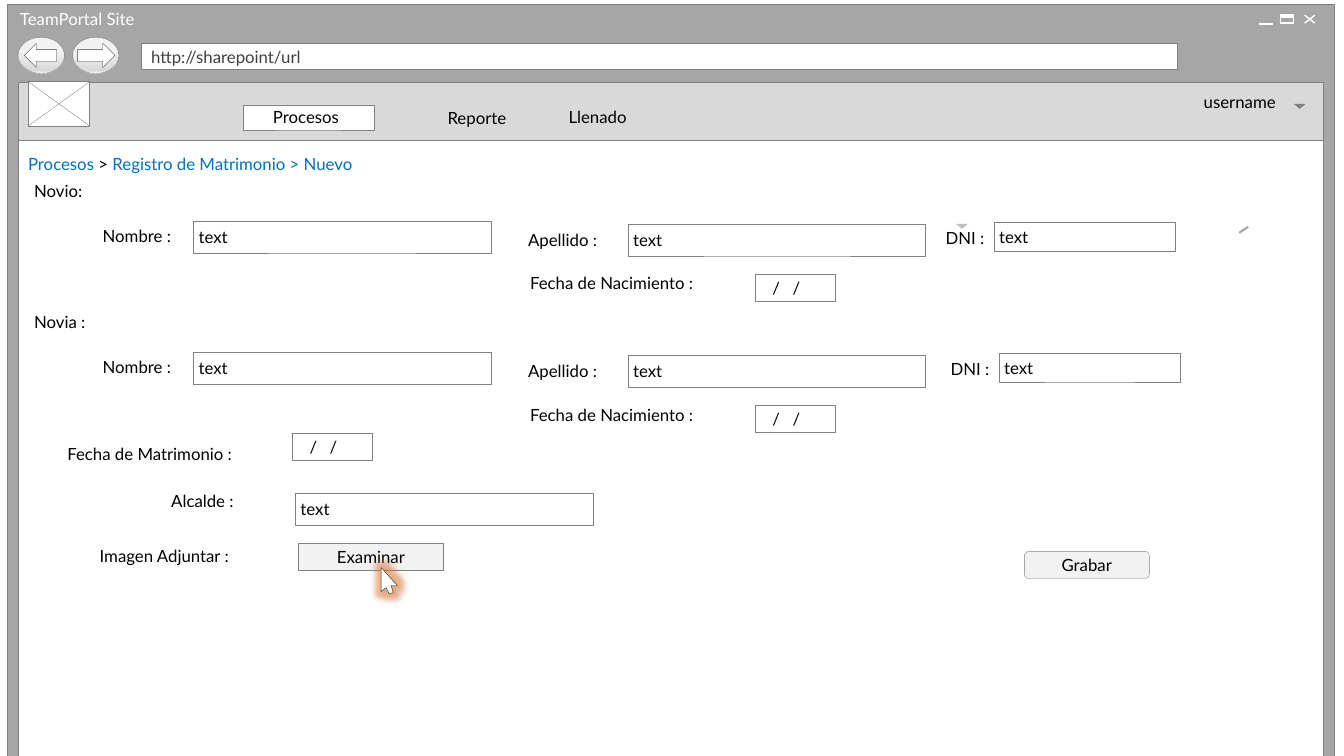
from lxml import etree
from pptx import Presentation
from pptx.dml.color import RGBColor
from pptx.enum.shapes import MSO_CONNECTOR, MSO_SHAPE as SHAPE
from pptx.enum.text import MSO_ANCHOR as ANCHOR, PP_ALIGN as ALIGN
from pptx.oxml import parse_xml
from pptx.oxml.ns import nsdecls, qn
from pptx.util import Inches, Pt

WHITE = RGBColor(0xFF, 0xFF, 0xFF)
BLACK = RGBColor(0, 0, 0)
FRAME = RGBColor(0xA6, 0xA6, 0xA6)
BORDER = RGBColor(0x80, 0x80, 0x80)
HEADER = RGBColor(0xD9, 0xD9, 0xD9)
BUTTON = RGBColor(0xF2, 0xF2, 0xF2)
PALE = RGBColor(0xBF, 0xBF, 0xBF)
DARK = RGBColor(0x40, 0x40, 0x40)
INK = RGBColor(0x26, 0x26, 0x26)
LINK = RGBColor(0x00, 0x70, 0xC0)

LABEL_INSET = (0.1, 0.02, 0.1, 0.03)
FIELD_INSET = (0.05, 0.02, 0.05, 0.02)
BUTTON_INSET = (0.1, 0, 0.1, 0.01)
DATE_INSET = (0.17, 0, 0, 0)


class Mockup:
    font, size, hairline = "Lato", 12, 0.25

    def __init__(self, slide):
        self.slide = slide

    def add_text(self, sp, runs, inset, align=ALIGN.LEFT, anchor=ANCHOR.MIDDLE):
        tf = sp.text_frame
        tf.word_wrap = True
        tf.vertical_anchor = anchor
        (tf.margin_left, tf.margin_top,
         tf.margin_right, tf.margin_bottom) = map(Inches, inset)
        p = tf.paragraphs[0]
        p.alignment = align
        for text, color in runs:
            r = p.add_run()
            r.text = text
            r.font.name, r.font.size = self.font, Pt(self.size)
            r.font.color.rgb = color
        return p

    def paint(self, sp, fill, line, weight=hairline):
        sp.shadow.inherit = False
        if fill is None:
            sp.fill.background()
        else:
            sp.fill.solid()
            sp.fill.fore_color.rgb = fill
        if line is None:
            sp.line.fill.background()
        else:
            sp.line.color.rgb = line
            sp.line.width = Pt(weight)

    def shape(self, kind, x, y, w, h, fill=WHITE, line=BORDER, weight=hairline):
        sp = self.slide.shapes.add_shape(
            kind, Inches(x), Inches(y), Inches(w), Inches(h))
        self.paint(sp, fill, line, weight)
        return sp

    def box(self, *args, **style):
        return self.shape(SHAPE.RECTANGLE, *args, **style)

    def line(self, x1, y1, x2, y2, color, weight=hairline):
        cn = self.slide.shapes.add_connector(
            MSO_CONNECTOR.STRAIGHT, Inches(x1), Inches(y1), Inches(x2), Inches(y2))
        cn.line.color.rgb = color
        cn.line.width = Pt(weight)
        etree.SubElement(cn._element.spPr, qn("a:effectLst"))

    def cross(self, x, y, w, h, color, weight=hairline):
        self.line(x, y, x + w, y + h, color, weight)
        self.line(x, y + h, x + w, y, color, weight)

    def label(self, x, y, w, *runs, color=BLACK, h=0.25):
        sp = self.slide.shapes.add_textbox(
            Inches(x), Inches(y), Inches(w), Inches(h))
        self.add_text(sp, [r if isinstance(r, tuple) else (r, color) for r in runs],
                      LABEL_INSET)

    def field(self, x, y, w=2.95, h=0.32):
        self.add_text(self.box(x, y, w, h), [("text", BLACK)], FIELD_INSET)

    def date(self, x, y):
        p = self.add_text(self.box(x, y, 0.79, 0.27), [("/\t/", BLACK)], DATE_INSET)
        tabs = etree.SubElement(p._p.get_or_add_pPr(), qn("a:tabLst"))
        etree.SubElement(tabs, qn("a:tab"), pos=str(Inches(0.2)), algn="l")

    def button(self, kind, x, y, w, text):
        sp = self.shape(kind, x, y, w, 0.27, fill=BUTTON)
        self.add_text(sp, [(text, BLACK)], BUTTON_INSET, ALIGN.CENTER)

    def dropdown(self, x, y, color):
        self.shape(SHAPE.ISOSCELES_TRIANGLE, x, y, 0.12, 0.05,
                   fill=color, line=None).rotation = 180

    def nav_button(self, x, arrow, arrow_x, arrow_w):
        sp = self.shape(SHAPE.OVAL, x, 0.37, 0.46, 0.36, fill=None)
        stops = "".join(
            f'<a:gs pos="{pos}000"><a:srgbClr val="{color}"/></a:gs>'
            for pos, color in ((36, BUTTON), (91, HEADER), (100, BUTTON)))
        spPr = sp._element.spPr
        spPr.replace(spPr.find(qn("a:noFill")), parse_xml(
            f'<a:gradFill {nsdecls("a")}><a:gsLst>{stops}</a:gsLst>'
            '<a:lin ang="5400000" scaled="0"/></a:gradFill>'))
        self.shape(arrow, arrow_x, 0.43, arrow_w, 0.24, line=DARK)

    def cursor(self, points):
        (x, y), *rest = [(Inches(px), Inches(py)) for px, py in points]
        builder = self.slide.shapes.build_freeform(x, y)
        builder.add_line_segments(rest, close=True)
        sp = builder.convert_to_shape()
        self.paint(sp, WHITE, INK)
        spPr = sp._element.spPr
        spPr.replace(spPr.find(qn("a:effectLst")), parse_xml(
            f'<a:effectLst {nsdecls("a")}>'
            f'<a:glow rad="{Pt(8)}"><a:srgbClr val="ED7D31">'
            '<a:alpha val="50000"/></a:srgbClr></a:glow>'
            f'<a:outerShdw blurRad="{Pt(2)}" dist="{Pt(2)}" dir="2040000">'
            '<a:srgbClr val="000000"><a:alpha val="20000"/></a:srgbClr>'
            '</a:outerShdw></a:effectLst>'))


def main():
    prs = Presentation()
    prs.slide_width, prs.slide_height = Inches(13.33), Inches(7.5)
    m = Mockup(prs.slides.add_slide(prs.slide_layouts[6]))

    # Browser window
    m.box(0.07, 0.04, 13.16, 7.72, fill=FRAME)
    m.label(0.1, 0.07, 1.73, "TeamPortal Site", color=WHITE)
    m.add_text(m.box(1.4, 0.43, 10.28, 0.26), [("http://sharepoint/url", DARK)],
               (0.1, 0.05, 0.1, 0.05))
    m.nav_button(0.18, SHAPE.LEFT_ARROW, 0.24, 0.32)
    m.nav_button(0.72, SHAPE.RIGHT_ARROW, 0.77, 0.37)

    # Window controls
    m.cross(12.94, 0.15, 0.1, 0.08, WHITE, 1)
    m.box(12.7, 0.15, 0.13, 0.08, fill=None, line=WHITE, weight=1)
    for x, y in ((12.7, 0.16), (12.49, 0.23)):
        m.box(x, y, 0.13, 0.01, line=WHITE)

    # Page header
    m.box(0.18, 0.82, 12.94, 6.83)
    m.box(0.18, 0.82, 12.94, 0.57, fill=HEADER)
    logo = (0.28, 0.81, 0.61, 0.44)
    m.box(*logo)
    m.cross(*logo, BORDER)
    m.add_text(m.box(2.41, 1.04, 1.3, 0.25), [("Procesos", BLACK)],
               (0, 0.02, 0.05, 0.05), ALIGN.CENTER, ANCHOR.TOP)
    m.label(4.34, 1.04, 0.81, "Reporte", h=0.27)
    m.label(5.54, 1.04, 0.81, "Llenado")
    m.label(11.84, 0.89, 1.22, "username")
    m.dropdown(12.83, 1.03, BORDER)

    # Breadcrumb and stray marks
    m.label(0.18, 1.5, 3.51, ("Procesos ", LINK), ("> ", BLACK),
            ("Registro de Matrimonio > Nuevo", LINK))
    m.dropdown(9.48, 2.22, PALE)
    m.line(12.29, 2.31, 12.38, 2.25, FRAME, 1.5)

    # Groom and bride
    for title, top, dni_x in (("Novio:", 1.77, 9.28), ("Novia :", 3.07, 9.33)):
        m.label(0.24, top, 0.83, title)
        m.label(0.92, top + 0.45, 0.97, "Nombre :")
        m.field(1.92, top + 0.42)
        m.label(5.14, top + 0.49, 0.97, "Apellido :")
        m.field(6.23, top + 0.45)
        m.field(dni_x + 0.58, top + 0.43, 1.8, 0.29)
        m.label(dni_x, top + 0.47, 0.64, "DNI :")
        m.label(5.16, top + 0.92, 1.94, "Fecha de Nacimiento :")
        m.date(7.49, top + 0.95)

    # Wedding details
    m.label(0.57, 4.38, 1.94, "Fecha de Matrimonio :")
    m.date(2.9, 4.3)
    m.label(1.6, 4.85, 0.89, "Alcalde :")
    m.field(2.93, 4.89)
    m.label(0.89, 5.39, 1.62, "Imagen Adjuntar :")

    # Buttons and cursor
    m.button(SHAPE.RECTANGLE, 2.96, 5.39, 1.44, "Examinar")
    m.button(SHAPE.ROUNDED_RECTANGLE, 10.16, 5.47, 1.24, "Grabar")
    m.cursor([(3.78, 5.87), (3.78, 5.63), (3.94, 5.81), (3.88, 5.81),
              (3.9, 5.88), (3.86, 5.89), (3.83, 5.83)])

    prs.save("out.pptx")


if __name__ == "__main__":
    main()
